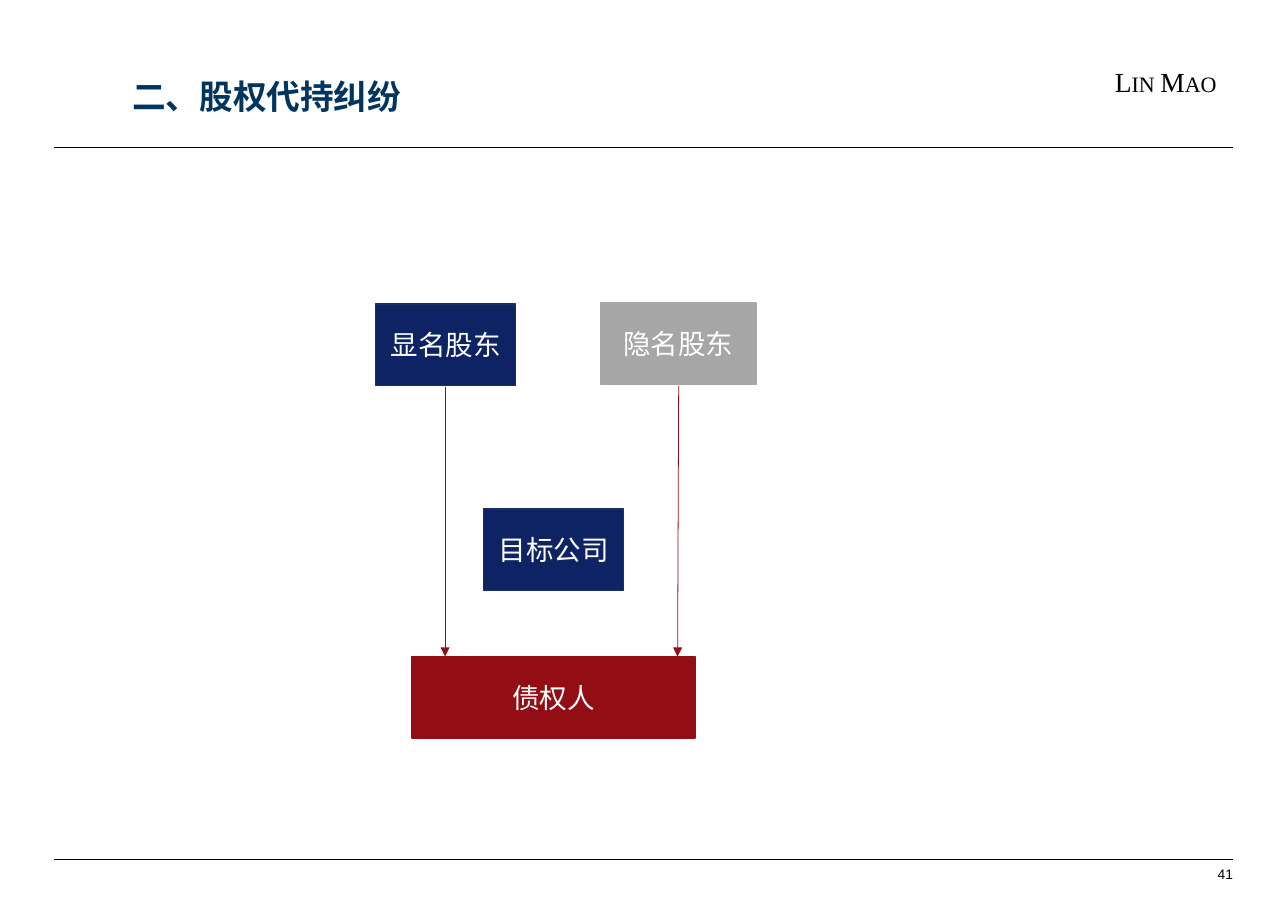
from lxml import etree
from pptx import Presentation
from pptx import util as u
from pptx.dml.color import RGBColor
from pptx.enum import shapes, text
from pptx.oxml.ns import qn

BLACK = RGBColor(0x00, 0x00, 0x00)
WHITE = RGBColor(0xFF, 0xFF, 0xFF)
TITLE_BLUE = RGBColor(0x00, 0x35, 0x5F)
NAVY = RGBColor(0x0E, 0x23, 0x64)
NAVY_EDGE = RGBColor(0x19, 0x2F, 0x63)
GREY = RGBColor(0xA6, 0xA6, 0xA6)
RED = RGBColor(0x93, 0x0D, 0x14)

PX = 9144  # EMU per px, 100 px to the inch
LEFT, RIGHT = 49, 1119  # page margins
BOX_H = 74


class Deck:
    """Holds the style and the current slide."""

    font = "Arial"

    def __init__(self, width, height):
        self.prs = Presentation()
        self.prs.slide_width, self.prs.slide_height = width * PX, height * PX
        self.s = self.prs.slides.add_slide(self.prs.slide_layouts[5])

    def label(self, sp, words, size, color, align, anchor, font=None, bold=False):
        tf = sp.text_frame
        tf.text = words
        tf.word_wrap = True
        tf.vertical_anchor = anchor
        p = tf.paragraphs[0]
        p.alignment = align
        r = p.runs[0]
        r.font.name = font or self.font
        r.font.size = u.Pt(size)
        r.font.bold = bold
        r.font.color.rgb = color
        return r

    def margins(self, sp, left, top, right, bottom):
        tf = sp.text_frame
        tf.margin_left, tf.margin_top = left * PX, top * PX
        tf.margin_right, tf.margin_bottom = right * PX, bottom * PX

    def title(self, words, x, y, w, h):
        sp = self.s.shapes.title
        sp.left, sp.top, sp.width, sp.height = x * PX, y * PX, w * PX, h * PX
        self.margins(sp, 0, 0, 0, 0)
        self.label(sp, words, 22, TITLE_BLUE, text.PP_ALIGN.LEFT,
                   text.MSO_ANCHOR.TOP, bold=True)
        sp.text_frame.auto_size = text.MSO_AUTO_SIZE.NONE

    def firm_name(self, words, x, y, w, h):
        sp = self.s.shapes.add_textbox(x * PX, y * PX, w * PX, h * PX)
        r = self.label(sp, words, 18, BLACK, text.PP_ALIGN.LEFT,
                       text.MSO_ANCHOR.TOP, font="Times New Roman")
        r._r.get_or_add_rPr().set("cap", "small")

    def page_number(self, words, x, y, w, h):
        sp = self.s.shapes.add_textbox(x * PX, y * PX, w * PX, h * PX)
        self.margins(sp, 10, 2, 0, 2)
        self.label(sp, words, 9, BLACK, text.PP_ALIGN.RIGHT, text.MSO_ANCHOR.MIDDLE)

    def box(self, words, x, y, w, fill, edge):
        sp = self.s.shapes.add_shape(shapes.MSO_SHAPE.RECTANGLE,
                                     x * PX, y * PX, w * PX, BOX_H * PX)
        sp.shadow.inherit = False
        sp.fill.solid()
        sp.fill.fore_color.rgb = fill
        sp.line.color.rgb = edge
        sp.line.width = u.Pt(1)
        self.label(sp, words, 18, WHITE, text.PP_ALIGN.CENTER, text.MSO_ANCHOR.MIDDLE)

    def line(self, x1, y1, x2, y2, color, arrow=False):
        sp = self.s.shapes.add_connector(shapes.MSO_CONNECTOR.STRAIGHT,
                                         x1 * PX, y1 * PX, x2 * PX, y2 * PX)
        sp.line.color.rgb = color
        sp.line.width = u.Pt(0.5)
        sp_pr = sp._element.spPr
        if arrow:
            etree.SubElement(sp_pr.find(qn("a:ln")), qn("a:tailEnd"), type="triangle")
        etree.SubElement(sp_pr, qn("a:effectLst"))


def main():
    deck = Deck(1169, 827)

    # Page frame
    deck.firm_name("Lin Mao", 1002, 54, 133, 40)
    for y in (134, 780):
        deck.line(LEFT, y, RIGHT, y, BLACK)
    deck.page_number("41", 1040, 781, 79, 25)
    deck.title("二、股权代持纠纷", 120, 69, 802, 43)

    # Parties
    for words, x, y, w, fill, edge in (
        ("隐名股东", 545, 275, 141, GREY, GREY),
        ("显名股东", 341, 276, 127, NAVY, NAVY_EDGE),
        ("目标公司", 439, 462, 127, NAVY, NAVY_EDGE),
        ("债权人", 374, 596, 257, RED, RED),
    ):
        deck.box(words, x, y, w, fill, edge)

    # Arrows from the shareholders to the creditor
    for x1, y1, x2 in ((404, 351, 404), (616, 350, 615)):
        deck.line(x1, y1, x2, 596, RED, arrow=True)

    deck.prs.save("out.pptx")


if __name__ == "__main__":
    main()
